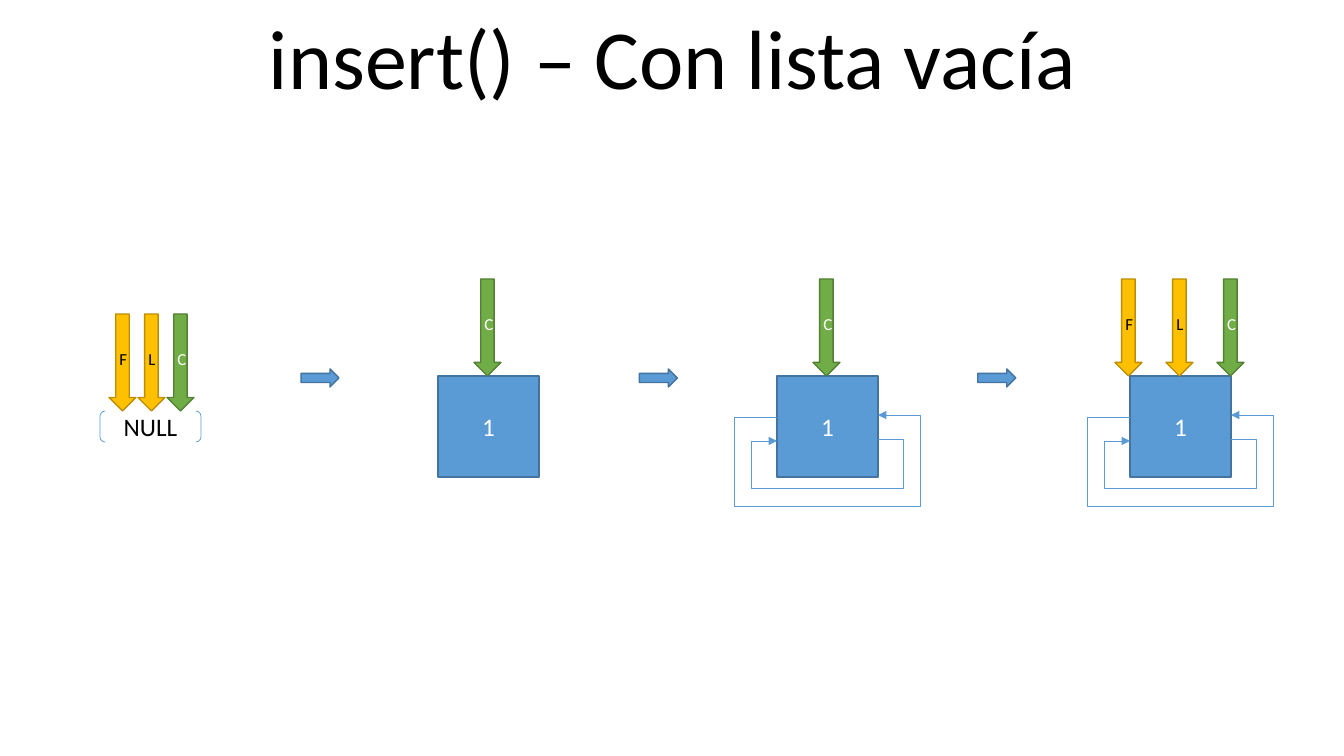
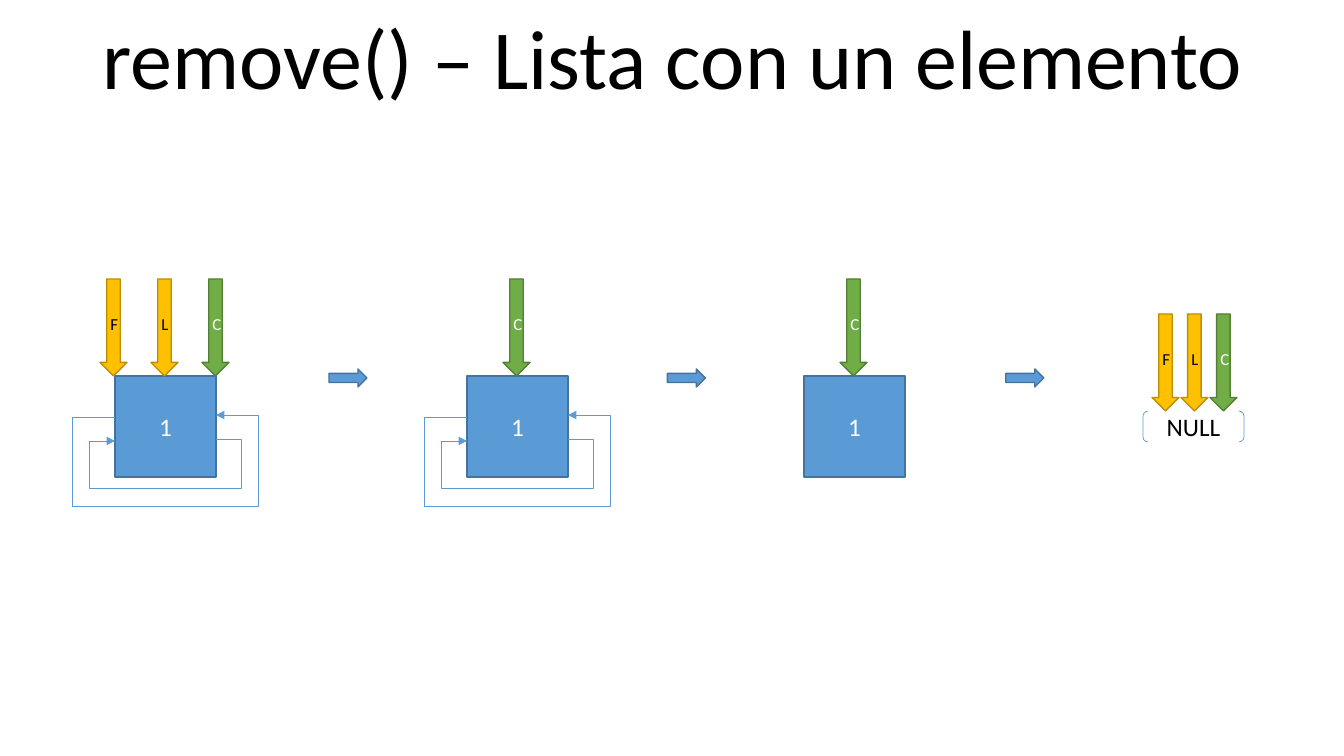
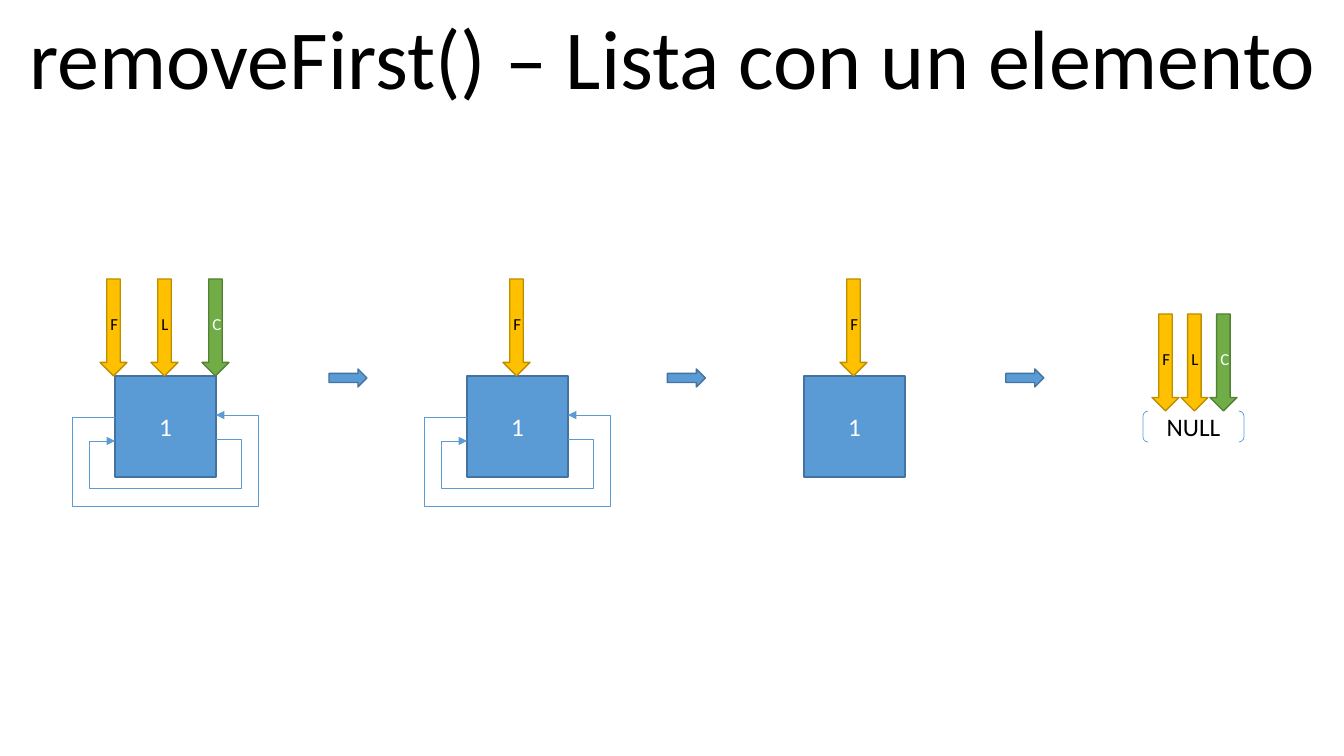
"""Build three slides that show how a circular list with one node changes."""
from lxml import etree
from pptx import Presentation
from pptx import util as u
from pptx.dml.color import RGBColor
from pptx.enum import shapes, text
from pptx.oxml.ns import qn

NULL, NODE, RING = "null", "node", "ring"
SLIDES = [
    ("insert() – Con lista vacía", 301,
     [(100, NULL, "FLC"), (438, NODE, "C"), (777, RING, "C"), (1130, RING, "FLC")]),
    ("remove() – Lista con un elemento", 329,
     [(115, RING, "FLC"), (467, RING, "C"), (804, NODE, "C"), (1143, NULL, "FLC")]),
    ("removeFirst() – Lista con un elemento", 329,
     [(115, RING, "FLC"), (467, RING, "F"), (804, NODE, "F"), (1143, NULL, "FLC")]),
]
FONT = "Calibri"
BLACK, WHITE, BLUE, DARK_BLUE = "000000", "FFFFFF", "5B9BD5", "43739E"
GOLD_POINTER = {"fill": "FFC000", "line": "BD8E00", "color": BLACK}
GREEN_POINTER = {"fill": "70AD47", "line": "538035", "color": WHITE}
POINTERS = {"F": GOLD_POINTER, "L": GOLD_POINTER, "C": GREEN_POINTER}
BLUE_SHAPE = {"fill": BLUE, "line": DARK_BLUE, "color": WHITE}
BRACKET = {"fill": None, "line": BLUE, "color": BLACK, "width": 0.5}

SCALE = 914400 / 100.8
NODE_TOP, NODE_SIZE = 376, 101
NULL_TOP, NULL_HEIGHT = 411, 31
POINTER_WIDTH, POINTER_HEIGHT = 27, 97
STEP_PITCH = 338.4
LINKS = [
    {"top": 439, "rotation": 0, "adjust": (-25000, 2500000, 125000)},
    {"top": 415, "rotation": 10800000, "adjust": (-42400, -4500000, 141500)},
]
LINK_DROP = 2


def px(length):
    return u.Emu(round(length * SCALE))


def rgb(value):
    return RGBColor.from_string(value)


def apply(target, values):
    for name, value in values.items():
        setattr(target, name, value)


def write(shape, words, size, color):
    paragraph = shape.text_frame.paragraphs[0]
    paragraph.alignment = text.PP_ALIGN.CENTER
    run = paragraph.add_run()
    run.text = words
    apply(run.font, {"name": FONT, "size": u.Pt(size)})
    run.font.color.rgb = rgb(color)


def add_shape(parent, kind, box, look, words="", size=18):
    shape = parent.shapes.add_shape(kind, *map(px, box))
    shape.shadow.inherit = False
    if look["fill"]:
        shape.fill.solid()
        shape.fill.fore_color.rgb = rgb(look["fill"])
    else:
        shape.fill.background()
    shape.line.color.rgb = rgb(look["line"])
    shape.line.width = u.Pt(look.get("width", 1))
    if words:
        write(shape, words, size, look["color"])


def add_link(group, left, link):
    connector = group.shapes.add_connector(
        shapes.MSO_CONNECTOR.ELBOW, px(left + NODE_SIZE), px(link["top"]),
        px(left), px(link["top"] + LINK_DROP))
    connector.line.color.rgb = rgb(BLUE)
    connector.line.width = u.Pt(0.5)
    properties = connector._element.spPr
    if link["rotation"]:
        properties.find(qn("a:xfrm")).set("rot", str(link["rotation"]))
    geometry = properties.find(qn("a:prstGeom"))
    geometry.set("prst", "bentConnector5")
    guides = geometry.find(qn("a:avLst"))
    for number, value in enumerate(link["adjust"], 1):
        etree.SubElement(guides, qn("a:gd"), name=f"adj{number}", fmla=f"val {value}")
    etree.SubElement(properties.find(qn("a:ln")), qn("a:tailEnd"), type="triangle")
    etree.SubElement(properties, qn("a:effectLst"))


def add_pointers(group, labels, middle, pitch, bottom):
    for index, label in enumerate(labels):
        left = middle + pitch * (index - (len(labels) - 1) / 2)
        box = (left, bottom - POINTER_HEIGHT, POINTER_WIDTH, POINTER_HEIGHT)
        add_shape(group, shapes.MSO_SHAPE.DOWN_ARROW, box, POINTERS[label], label, 12)


def add_state(slide, left, kind, labels):
    group = slide.shapes.add_group_shape()
    if kind == NULL:
        add_pointers(group, labels, left + 38, 29, NULL_TOP)
        add_shape(group, shapes.MSO_SHAPE.DOUBLE_BRACKET,
                  (left, NULL_TOP, NODE_SIZE, NULL_HEIGHT), BRACKET, "NULL")
        return
    add_shape(group, shapes.MSO_SHAPE.RECTANGLE,
              (left, NODE_TOP, NODE_SIZE, NODE_SIZE), BLUE_SHAPE, "1")
    if kind == RING:
        for link in LINKS:
            add_link(group, left, link)
    add_pointers(group, labels, left + 36, 51, NODE_TOP)


def add_title(slide, words):
    title = slide.shapes.title
    apply(title, {"left": px(1), "top": 0, "width": px(1343), "height": px(112)})
    apply(title.text_frame, {"word_wrap": True,
                             "vertical_anchor": text.MSO_ANCHOR.TOP,
                             "auto_size": text.MSO_AUTO_SIZE.SHAPE_TO_FIT_TEXT})
    write(title, words, 60, BLACK)


presentation = Presentation()
apply(presentation, {"slide_width": px(1344), "slide_height": px(756)})
for title_words, first_step, states in SLIDES:
    slide = presentation.slides.add_slide(presentation.slide_layouts[5])
    add_title(slide, title_words)
    for state in states:
        add_state(slide, *state)
    for index in range(len(states) - 1):
        add_shape(slide, shapes.MSO_SHAPE.RIGHT_ARROW,
                  (first_step + index * STEP_PITCH, 369, 38, 18), BLUE_SHAPE)
presentation.save("out.pptx")
